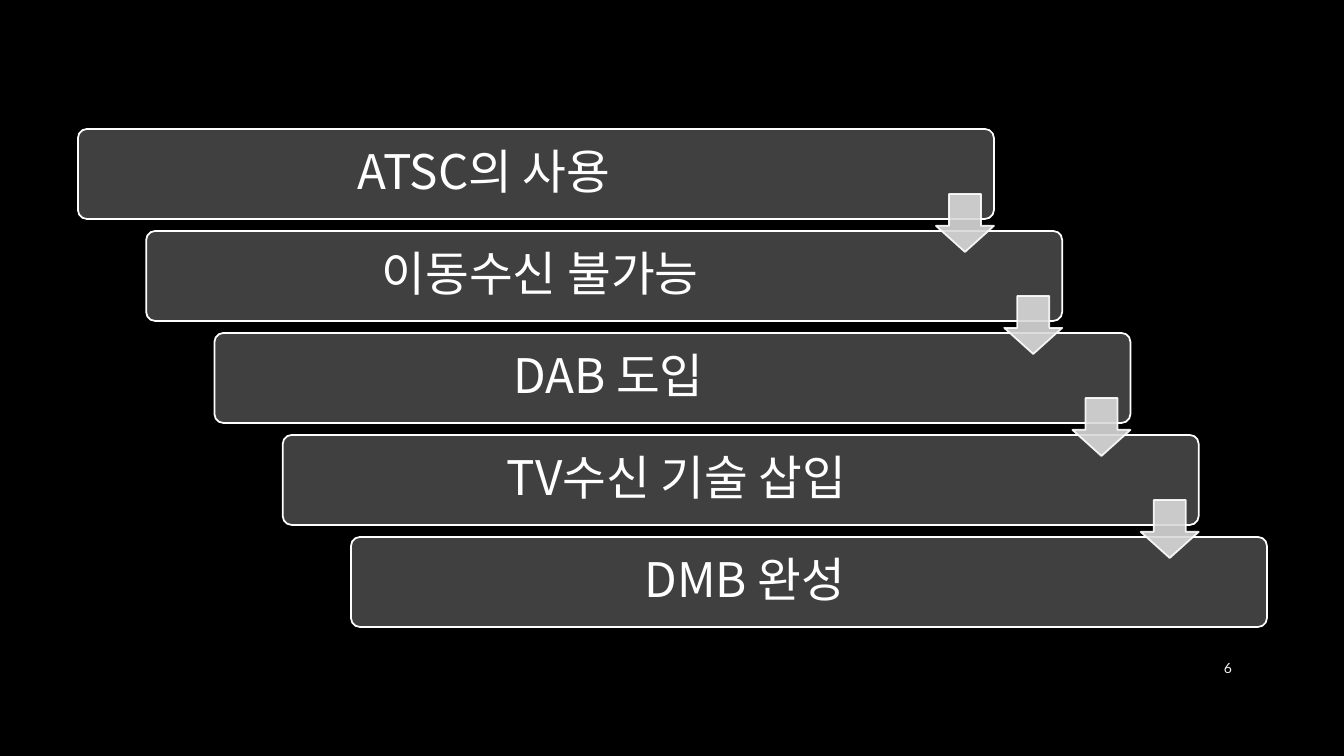
from pptx import Presentation
from pptx.dml.color import RGBColor
from pptx.enum.shapes import MSO_SHAPE as Shape
from pptx.enum.text import MSO_ANCHOR as Anchor, PP_ALIGN as Align
from pptx.oxml.ns import qn
from pptx.util import Pt
from lxml.etree import SubElement

STEPS = ["ATSC의 사용", "이동수신 불가능", "DAB 도입", "TV수신 기술 삽입", "DMB 완성"]
PAGE_NUMBER = "6"
COLORS = {"black": "000000", "bar": "404040", "arrow": "D9D9D9",
          "white": "FFFFFF", "number": "F2F2F2"}
STEP_FONT, NUMBER_FONT = "Noto Sans CJK KR", "Lato"

# Lengths in px, 100.8 to the inch
PAGE_W, PAGE_H = 1344, 756
FIRST_LEFT, LAST_LEFT = 78, 351
FIRST_TOP, LAST_TOP = 129, 537
BAR_W, BAR_H = 916, 90
ARROW, ARROW_DROP = 58, 65
INSET, FIRST_RIGHT_INSET, RIGHT_INSET = 16, 120, 144


def px(length):
    return round(length * 914400 / 100.8)


def color(name):
    return RGBColor.from_string(COLORS[name])


def set_opacity(fill, percent):
    srgb = fill._xPr.find(f"{qn('a:solidFill')}/{qn('a:srgbClr')}")
    SubElement(srgb, qn("a:alpha"), val=str(percent * 1000))


def add_outlined(page, kind, left, top, width, height, fill, adjustments):
    shape = page.shapes.add_shape(kind, px(left), px(top), px(width), px(height))
    shape.shadow.inherit = False
    for index, value in enumerate(adjustments):
        shape.adjustments[index] = value
    shape.fill.solid()
    shape.fill.fore_color.rgb = color(fill)
    shape.line.color.rgb = color("white")
    shape.line.width = Pt(1.25)
    return shape


def write(frame, text, font, size, ink, align):
    frame.word_wrap = True
    frame.vertical_anchor = Anchor.MIDDLE
    para = frame.paragraphs[0]
    para.alignment = align
    span = para.add_run()
    span.text = text
    span.font.name = font
    span.font.size = Pt(size)
    span.font.color.rgb = color(ink)
    SubElement(span.font._element, qn("a:ea"), typeface=font)
    return para


def add_bar(page, text, left, top, right_inset):
    bar = add_outlined(page, Shape.ROUNDED_RECTANGLE, left, top, BAR_W, BAR_H, "bar", [0.1])
    frame = bar.text_frame
    frame.margin_left = frame.margin_top = frame.margin_bottom = px(INSET - 2)
    frame.margin_left = px(INSET)
    frame.margin_right = px(right_inset)
    write(frame, text, STEP_FONT, 34, "white", Align.CENTER).line_spacing = 0.9


def add_arrow(page, left, top):
    arrow = add_outlined(page, Shape.DOWN_ARROW, left, top, ARROW, ARROW, "arrow", [0.55, 0.45])
    set_opacity(arrow.fill, 90)
    set_opacity(arrow.line.fill, 90)


def main():
    deck = Presentation()
    deck.slide_width, deck.slide_height = px(PAGE_W), px(PAGE_H)
    page = deck.slides.add_slide(deck.slide_layouts[6])
    page.background.fill.solid()
    page.background.fill.fore_color.rgb = color("black")

    gaps = len(STEPS) - 1
    corners = [(FIRST_LEFT + (LAST_LEFT - FIRST_LEFT) * i / gaps,
                FIRST_TOP + (LAST_TOP - FIRST_TOP) * i / gaps) for i in range(len(STEPS))]
    for index, (text, (left, top)) in enumerate(zip(STEPS, corners)):
        add_bar(page, text, left, top, RIGHT_INSET if index else FIRST_RIGHT_INSET)
    for left, top in corners[:-1]:
        add_arrow(page, left + BAR_W - ARROW, top + ARROW_DROP)

    number = page.shapes.add_textbox(px(1159), px(648), px(83), px(40))
    write(number.text_frame, PAGE_NUMBER, NUMBER_FONT, 10, "number", Align.RIGHT)
    deck.save("out.pptx")


if __name__ == "__main__":
    main()
